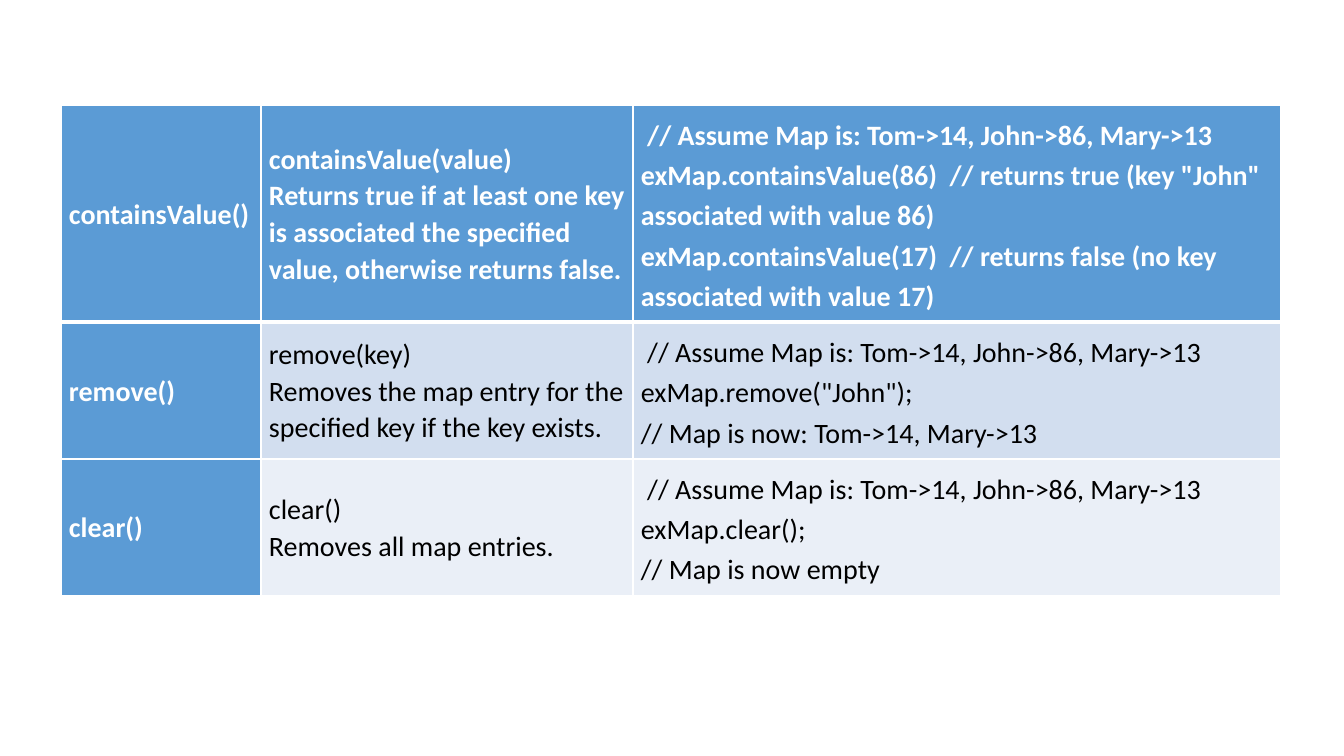
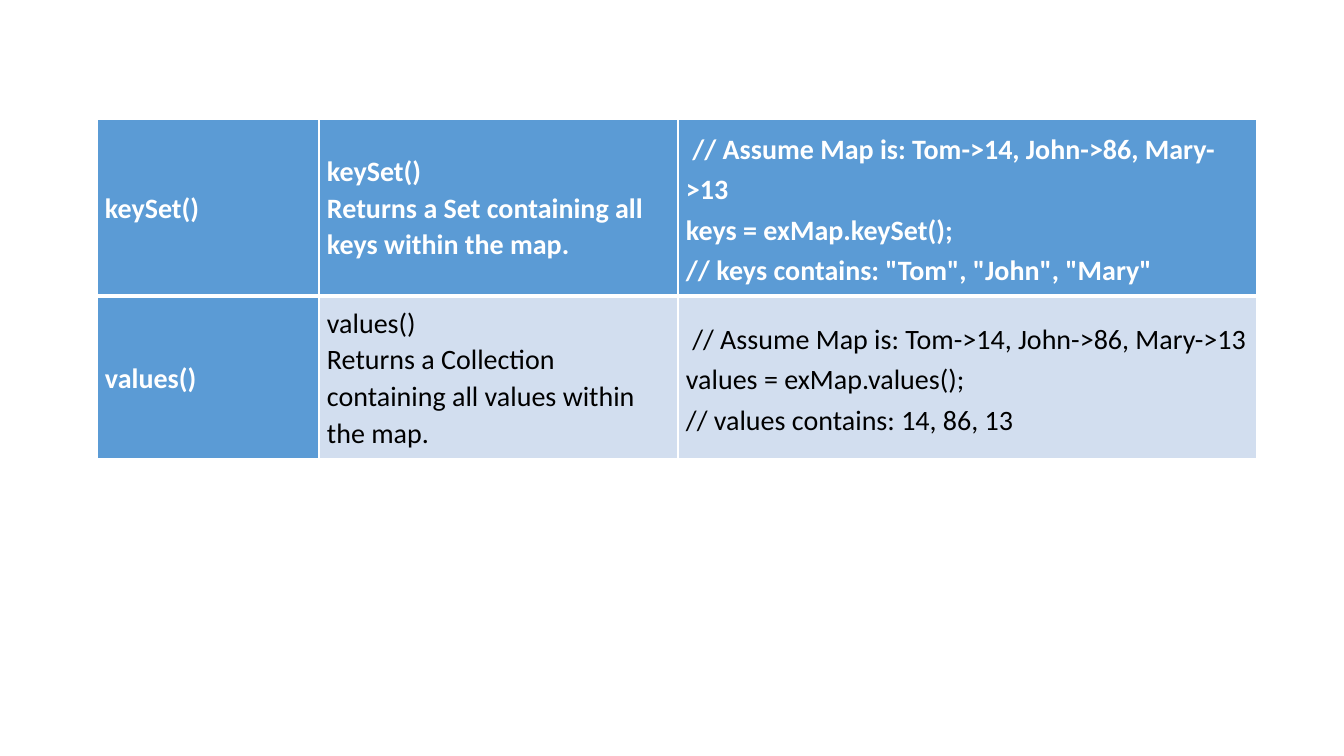
import pptx
import pptx.dml.color
import pptx.enum.text
import pptx.oxml
import pptx.oxml.ns
import pptx.util

PX = 914400 / 100.8
WIDE, HIGH = 1344, 756
INSET = 8
FONT, SIZE = "Calibri", 20
COLOR = {
    "head": "5B9BD5",
    "odd": "D2DEEF",
    "even": "EAEFF7",
    "light": "FFFFFF",
    "dark": "000000",
}
ASSUME = " // Assume Map is: Tom->14, John->86, Mary->13"

# Each row: method, description, lines of the example after the shared first one
TABLES = [
    {
        "at": (61, 105),
        "cols": (200, 372, 648),
        "rows": (217, 137, 136),
        "body": [
            ("containsValue()",
             "containsValue(value)\nReturns true if at least one key is associated "
             "the specified value, otherwise returns false.",
             ['exMap.containsValue(86)  // returns true (key "John" associated with value 86)',
              "exMap.containsValue(17)  // returns false (no key associated with value 17)"]),
            ("remove()",
             "remove(key)\nRemoves the map entry for the specified key if the key exists.",
             ['exMap.remove("John");', "// Map is now: Tom->14, Mary->13"]),
            ("clear()",
             "clear()\nRemoves all map entries.",
             ["exMap.clear();", "// Map is now empty"]),
        ],
    },
    {
        "at": (97, 119),
        "cols": (222, 359, 579),
        "rows": (177, 163),
        "body": [
            ("keySet()",
             "keySet()\nReturns a Set containing all keys within the map.",
             ["keys = exMap.keySet();", '// keys contains: "Tom", "John", "Mary"']),
            ("values()",
             "values()\nReturns a Collection containing all values within the map.",
             ["values = exMap.values();", "// values contains: 14, 86, 13"]),
        ],
    },
]


def px(count):
    return pptx.util.Emu(round(count * PX))


def rgb(name):
    return pptx.dml.color.RGBColor.from_string(COLOR[name])


def edge(cell, side, width):
    """Draw one border; side is L, R, T or B and width is in points."""
    line = pptx.oxml.parse_xml(
        f'<a:ln{side} {pptx.oxml.ns.nsdecls("a")} w="{pptx.util.Pt(width)}">'
        f'<a:solidFill><a:srgbClr val="{COLOR["light"]}"/></a:solidFill>'
        f'</a:ln{side}>')
    cell._tc.get_or_add_tcPr().append(line)


def style(cell, row, col):
    """Set borders, fill and insets by place in the grid."""
    thick = {(0, "B"), (1, "T")}
    for side in "LRTB":
        edge(cell, side, 3 if (row, side) in thick else 1)
    band = "odd" if row % 2 else "even"
    cell.fill.solid()
    cell.fill.fore_color.rgb = rgb("head" if row == 0 or col == 0 else band)
    cell.vertical_anchor = pptx.enum.text.MSO_ANCHOR.MIDDLE
    cell.margin_left = cell.margin_right = px(INSET)
    cell.margin_top = cell.margin_bottom = px(INSET)


def write(cell, lines, strong, space, after):
    frame = cell.text_frame
    for num, line in enumerate(lines):
        para = frame.add_paragraph() if num else frame.paragraphs[0]
        para.text = line
        para.line_spacing = space
        para.font.name = FONT
        para.font.size = pptx.util.Pt(SIZE)
        para.font.bold = strong
        para.font.color.rgb = rgb("light" if strong else "dark")
    para.space_after = pptx.util.Pt(after)


def draw(slide, data):
    cols, rows = data["cols"], data["rows"]
    places = (*data["at"], sum(cols), sum(rows))
    table = slide.shapes.add_table(len(rows), len(cols), *map(px, places)).table
    for col, width in zip(table.columns, cols):
        col.width = px(width)
    for row, height in zip(table.rows, rows):
        row.height = px(height)
    for row, (method, about, code) in enumerate(data["body"]):
        texts = [[method], [about], [ASSUME, *code]]
        for col, lines in enumerate(texts):
            cell = table.cell(row, col)
            style(cell, row, col)
            space, after = (1.17, 6) if col == 2 else (1.07, 0)
            write(cell, lines, row == 0 or col == 0, space, after)


def main():
    deck = pptx.Presentation()
    deck.slide_width, deck.slide_height = px(WIDE), px(HIGH)
    for data in TABLES:
        draw(deck.slides.add_slide(deck.slide_layouts[6]), data)
    deck.save("out.pptx")


if __name__ == "__main__":
    main()
